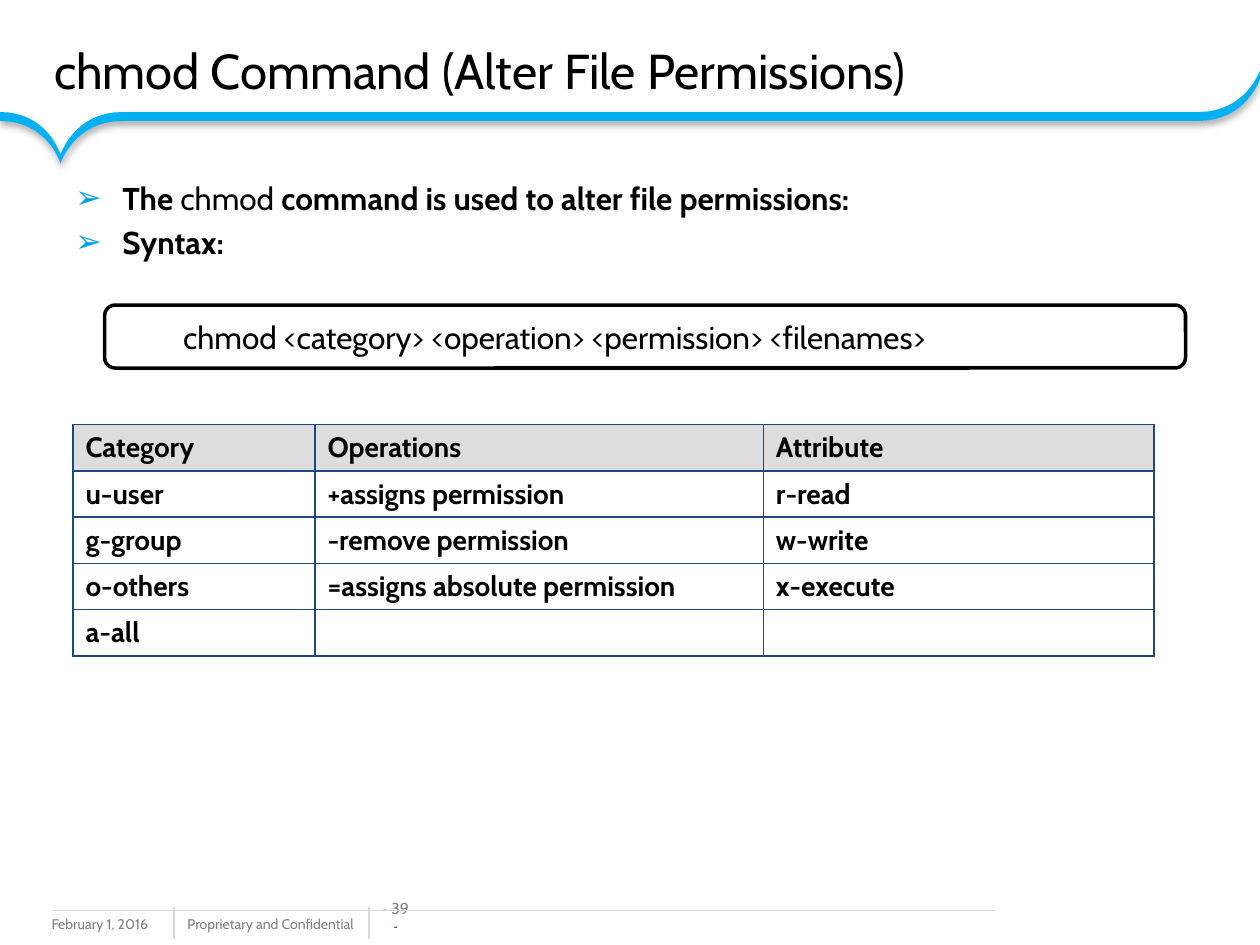
"""Build a slide on the chmod command with its syntax and a table of options."""
from lxml import etree
from pptx import Presentation
from pptx.dml.color import RGBColor
from pptx.enum import shapes, text
from pptx.oxml import parse_xml
from pptx.oxml.ns import nsdecls, qn
from pptx.util import Cm, Pt

COLORS = {"black": "000000", "white": "FFFFFF", "ribbon": "00B0F0", "bullet": "00A1E4",
          "navy": "1F497D", "header": "DDDDDD", "footer": "808080", "rule": "D9D9D9"}


def color(name):
    return RGBColor.from_string(COLORS[name])


def add_run(paragraph, words, size, color_name="black", bold=False, font="Cabin"):
    run = paragraph.add_run()
    run.text = words
    run.font.name = font
    run.font.size = Pt(size)
    run.font.bold = bold
    run.font.color.rgb = color(color_name)


presentation = Presentation()
presentation.slide_width = Cm(25.4)
presentation.slide_height = Cm(19.05)
slide = presentation.slides.add_slide(presentation.slide_layouts[6])

footer_texts = [("February 1, 2016", 0.79, 3.38), ("Proprietary and Confidential", 3.53, 3.99)]
for words, left, width in footer_texts:
    footer = slide.shapes.add_textbox(Cm(left), Cm(18.34), Cm(width), Cm(0.62))
    footer.text_frame.word_wrap = True
    add_run(footer.text_frame.paragraphs[0], words, 8, "footer")

page_number = slide.shapes.add_textbox(Cm(7.65), Cm(18.08), Cm(0.66), Cm(0.76))
frame = page_number.text_frame
frame.word_wrap = True
frame.vertical_anchor = text.MSO_ANCHOR.BOTTOM
frame.margin_left = frame.margin_right = frame.margin_top = frame.margin_bottom = 0
paragraph = frame.paragraphs[0]
paragraph.alignment = text.PP_ALIGN.CENTER
add_run(paragraph, "- ", 8, "navy", font="Arial")
add_run(paragraph, "39 ", 9, "footer")
add_run(paragraph, "-", 8, "navy", font="Arial")

footer_rules = [(3.51, 18.29, 3.51, 18.92), (7.44, 18.29, 7.44, 18.92), (20.07, 18.36, 1.07, 18.36)]
for ends in footer_rules:
    rule = slide.shapes.add_connector(shapes.MSO_CONNECTOR.STRAIGHT, *map(Cm, ends))
    rule.line.color.rgb = color("rule")
    rule.line.width = Pt(0.75)
    etree.SubElement(rule._element.spPr, qn("a:effectLst"))

steps = 16
thickness = 0.18
bends = [((0, 2.26), (0.97, 2.26), (1.22, 3.12), False),
         ((2.46, 2.26), (1.5, 2.26), (1.22, 3.12), True),
         ((24.16, 2.26), (25.12, 2.26), (25.4, 1.42), False)]
upper_edge = []
for flat, bend, tip, backwards in bends:
    curve = []
    for step in range(steps + 1):
        t = step / steps
        weights = (1 - t) ** 3, 3 * t * (1 - t) ** 2, 3 * t ** 2 * (1 - t) + t ** 3
        curve.append(tuple(sum(w * point[axis] for w, point in zip(weights, (flat, bend, tip)))
                           for axis in (0, 1)))
    upper_edge += curve[::-1] if backwards else curve
lower_edge = [(x, y + thickness) for x, y in reversed(upper_edge)]
outline = [(Cm(x), Cm(y)) for x, y in upper_edge + lower_edge]
builder = slide.shapes.build_freeform(*outline[0])
builder.add_line_segments(outline[1:], close=True)
ribbon = builder.convert_to_shape()
ribbon.fill.solid()
ribbon.fill.fore_color.rgb = color("ribbon")
ribbon.line.fill.background()
ribbon.shadow.inherit = False
ribbon._element.spPr.find(qn("a:effectLst")).append(parse_xml(
    f'<a:outerShdw {nsdecls("a")} blurRad="50800" dist="25400" dir="5400000" rotWithShape="0">'
    f'<a:srgbClr val="{COLORS["black"]}"><a:alpha val="31000"/></a:srgbClr></a:outerShdw>'))

title = slide.shapes.add_textbox(Cm(0.84), Cm(0.56), Cm(22.86), Cm(1.7))
title.text_frame.word_wrap = True
title.text_frame.vertical_anchor = text.MSO_ANCHOR.MIDDLE
add_run(title.text_frame.paragraphs[0], "chmod Command (Alter File Permissions)", 28)

body = slide.shapes.add_textbox(Cm(1.27), Cm(3.48), Cm(22.86), Cm(13.54))
body.text_frame.word_wrap = True
bullets = [[("The ", True), ("chmod", False), (" command is used to alter file permissions:", True)],
           [("Syntax:", True)]]
for index, runs in enumerate(bullets):
    paragraph = body.text_frame.add_paragraph() if index else body.text_frame.paragraphs[0]
    paragraph.space_before = Pt(3.6 if index else 0)
    properties = paragraph._p.get_or_add_pPr()
    properties.set("marL", str(Cm(0.95)))
    properties.set("indent", str(-Cm(0.95)))
    bullet_color = etree.SubElement(properties, qn("a:buClr"))
    etree.SubElement(bullet_color, qn("a:srgbClr"), val=COLORS["bullet"])
    etree.SubElement(properties, qn("a:buFont"), typeface="Arial")
    etree.SubElement(properties, qn("a:buChar"), char="\u27a2")
    for words, bold in runs:
        add_run(paragraph, words, 18, bold=bold)

syntax_box = slide.shapes.add_shape(shapes.MSO_SHAPE.ROUNDED_RECTANGLE,
                                    Cm(2.11), Cm(6.15), Cm(21.79), Cm(1.27))
syntax_box.adjustments[0] = 0.167
syntax_box.shadow.inherit = False
syntax_box.fill.solid()
syntax_box.fill.fore_color.rgb = color("white")
syntax_box.line.color.rgb = color("black")
syntax_box.line.width = Pt(2)
syntax_box.text_frame.vertical_anchor = text.MSO_ANCHOR.MIDDLE
paragraph = syntax_box.text_frame.paragraphs[0]
paragraph.alignment = text.PP_ALIGN.LEFT
paragraph._p.get_or_add_pPr().set("marL", str(Cm(1.27)))
add_run(paragraph, "chmod <category> <operation> <permission> <filenames>", 18)

rows = [("Category", "Operations", "Attribute"),
        ("u-user", "+assigns permission", "r-read"),
        ("g-group", "-remove permission", "w-write"),
        ("o-others", "=assigns absolute permission", "x-execute"),
        ("a-all", "", "")]
column_widths = [4.88, 9.04, 7.87]
row_height = 0.93
table = slide.shapes.add_table(len(rows), len(column_widths), Cm(1.47), Cm(8.56),
                               Cm(sum(column_widths)), Cm(row_height * len(rows))).table
for column, width in zip(table.columns, column_widths):
    column.width = Cm(width)
for row_index, row in enumerate(rows):
    table.rows[row_index].height = Cm(row_height)
    for column_index, words in enumerate(row):
        cell = table.cell(row_index, column_index)
        for side in ("lnL", "lnR", "lnT", "lnB"):
            border = etree.SubElement(cell._tc.get_or_add_tcPr(), qn(f"a:{side}"), w=str(Pt(1)))
            border_fill = etree.SubElement(border, qn("a:solidFill"))
            etree.SubElement(border_fill, qn("a:srgbClr"), val=COLORS["navy"])
        if row_index == 0:
            cell.fill.solid()
            cell.fill.fore_color.rgb = color("header")
        else:
            cell.fill.background()
        paragraph = cell.text_frame.paragraphs[0]
        if words:
            add_run(paragraph, words, 16, bold=True)
        else:
            etree.SubElement(paragraph._p, qn("a:endParaRPr"), sz="1600")

presentation.save("out.pptx")
